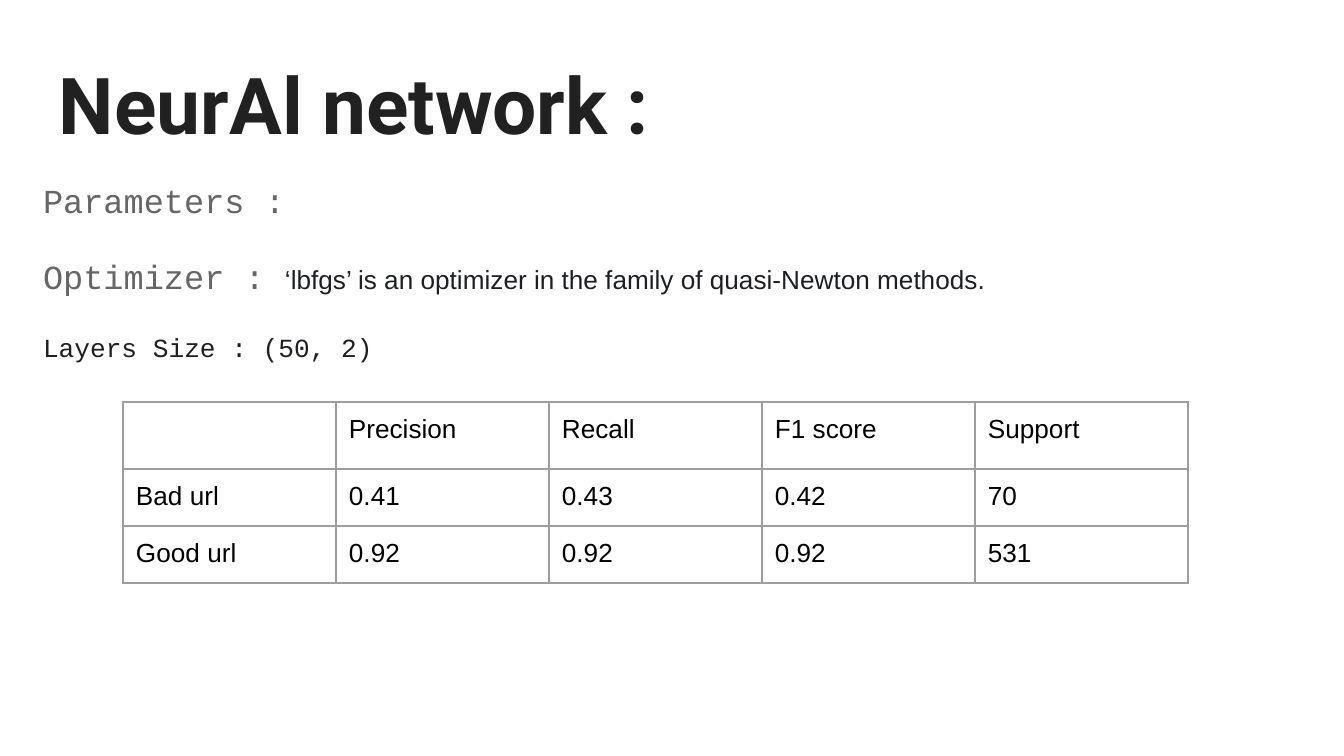
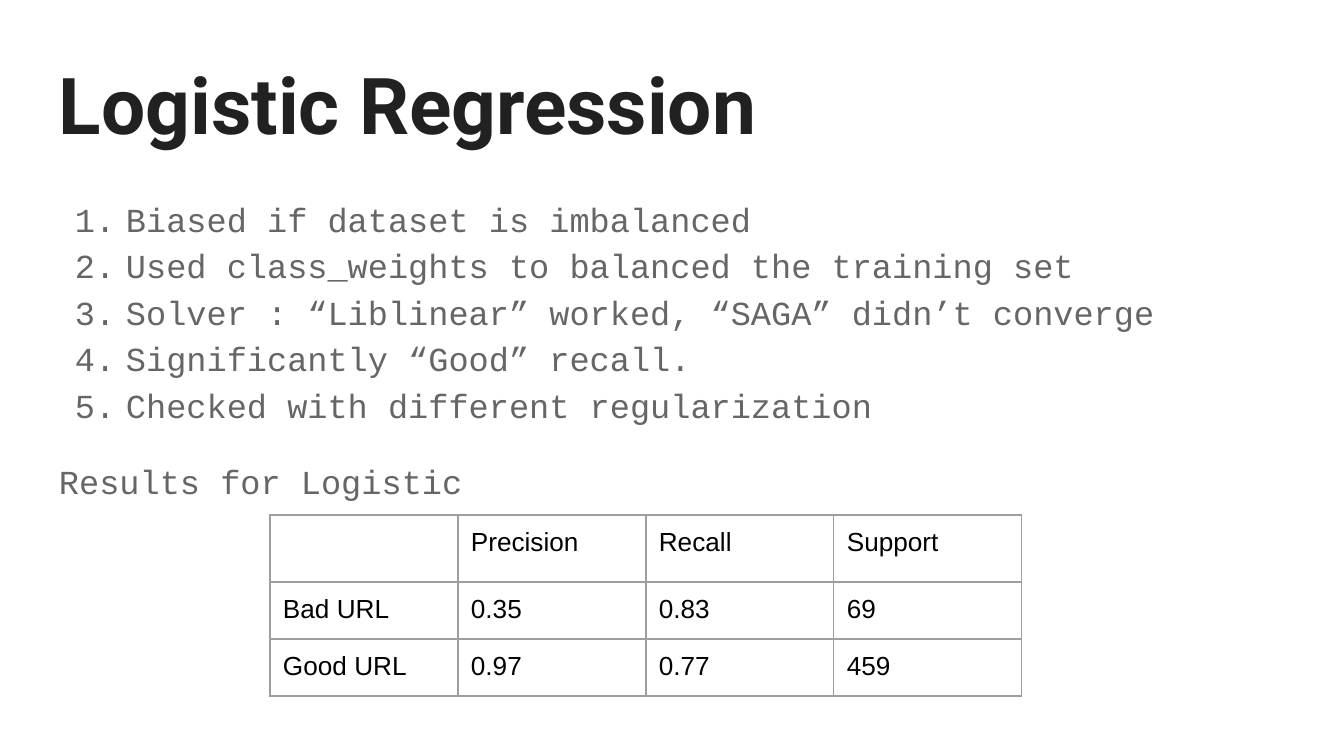
from lxml.etree import SubElement
from pptx import Presentation
from pptx.dml.color import RGBColor
from pptx.enum.text import MSO_ANCHOR as Anchor, MSO_AUTO_SIZE as AutoSize, PP_ALIGN as Align
from pptx.oxml.ns import qn
from pptx.util import Pt

PX = 914400 / 134.4
WIDTH, HEIGHT = 1344, 756
INSET = 13
TITLE_BOX = (46, 43, 1252, 118)
ROW_HEIGHTS = (64, 57, 57)
NUMBER_INDENT, NUMBER_HANG = 67, 51
INK, GREY, DARK, BLACK, RULE, WHITE = "212121", "666666", "1D1F22", "000000", "9E9E9E", "FFFFFF"

TITLE = dict(font="Roboto", size=42, color=INK, bold=True)
BODY = dict(font="Courier New", size=18, color=GREY)
DETAIL = dict(font="Arial", size=14, color=DARK)
CODE = dict(font="Courier New", size=14, color=DARK)
CELL = dict(font="Arial", size=14, color=BLACK)

SLIDES = [
    dict(
        title="NeurAl network :",
        body_box=(30, 161, 1252, 490),
        body=[
            dict(runs=[("Parameters :", BODY)]),
            dict(runs=[
                ("Optimizer : ", BODY),
                ("‘lbfgs’ is an optimizer in the family of quasi-Newton methods.", DETAIL),
            ], before=16),
            dict(runs=[("Layers Size : (50, 2)", CODE)], before=16),
        ],
        scores_at=(123, 402),
        column=213,
        scores=[
            ("", "Precision", "Recall", "F1 score", "Support"),
            ("Bad url", "0.41", "0.43", "0.42", "70"),
            ("Good url", "0.92", "0.92", "0.92", "531"),
        ],
    ),
    dict(
        title="Logistic Regression",
        body_box=(46, 180, 1252, 543),
        body=[
            *(dict(runs=[(finding, BODY)], numbered=True) for finding in (
                "Biased if dataset is imbalanced",
                "Used class_weights to balanced the training set",
                "Solver : “Liblinear” worked, “SAGA” didn’t converge",
                "Significantly “Good” recall.",
                "Checked with different regularization",
            )),
            dict(runs=[("Results for Logistic", BODY)], before=16, after=16),
        ],
        scores_at=(270, 515),
        column=188,
        scores=[
            ("", "Precision", "Recall", "Support"),
            ("Bad URL", "0.35", "0.83", "69"),
            ("Good URL", "0.97", "0.77", "459"),
        ],
    ),
]


def px(length):
    return round(length * PX)


def rgb(color):
    return RGBColor.from_string(color)


def write(paragraph, text, *, font, size, color, bold=False):
    run = paragraph.add_run()
    run.text = text
    run.font.name = font
    run.font.size = Pt(size)
    run.font.bold = bold
    run.font.color.rgb = rgb(color)


def set_insets(holder):
    holder.margin_left = holder.margin_right = px(INSET)
    holder.margin_top = holder.margin_bottom = px(INSET)


def prepare(frame):
    set_insets(frame)
    frame.word_wrap = True
    frame.auto_size = AutoSize.NONE
    frame.vertical_anchor = Anchor.TOP


def number(paragraph):
    props = paragraph._p.get_or_add_pPr()
    props.set("marL", str(px(NUMBER_INDENT)))
    props.set("indent", str(-px(NUMBER_HANG)))
    bullet_color = SubElement(props, qn("a:buClr"))
    SubElement(bullet_color, qn("a:srgbClr"), val=GREY)
    SubElement(props, qn("a:buFont"), typeface=BODY["font"])
    SubElement(props, qn("a:buAutoNum"), type="arabicPeriod")


def add_title(slide, text):
    title = slide.shapes.title
    title.left, title.top, title.width, title.height = map(px, TITLE_BOX)
    prepare(title.text_frame)
    paragraph = title.text_frame.paragraphs[0]
    paragraph.alignment = Align.LEFT
    write(paragraph, text, **TITLE)


def add_body(slide, box, lines):
    frame = slide.shapes.add_textbox(*map(px, box)).text_frame
    prepare(frame)
    for index, line in enumerate(lines):
        paragraph = frame.add_paragraph() if index else frame.paragraphs[0]
        paragraph.line_spacing = 1.15
        paragraph.space_before = Pt(line.get("before", 0))
        paragraph.space_after = Pt(line.get("after", 0))
        if line.get("numbered"):
            number(paragraph)
        for text, style in line["runs"]:
            write(paragraph, text, **style)


def outline(cell):
    props = cell._tc.get_or_add_tcPr()
    for side in ("lnL", "lnR", "lnT", "lnB"):
        line = SubElement(props, qn(f"a:{side}"), w=str(Pt(0.75)))
        fill = SubElement(line, qn("a:solidFill"))
        SubElement(fill, qn("a:srgbClr"), val=RULE)


def add_scores(slide, at, column, scores):
    columns = len(scores[0])
    size = (column * columns, sum(ROW_HEIGHTS))
    table = slide.shapes.add_table(len(scores), columns, *map(px, at + size)).table
    table.first_row = table.horz_banding = False
    for table_column in table.columns:
        table_column.width = px(column)
    for row, (values, height) in enumerate(zip(scores, ROW_HEIGHTS)):
        table.rows[row].height = px(height)
        for col, value in enumerate(values):
            cell = table.cell(row, col)
            set_insets(cell)
            outline(cell)
            cell.fill.background()
            if value:
                write(cell.text_frame.paragraphs[0], value, **CELL)


def main():
    deck = Presentation()
    deck.slide_width, deck.slide_height = px(WIDTH), px(HEIGHT)
    background = deck.slide_master.background.fill
    background.solid()
    background.fore_color.rgb = rgb(WHITE)
    for content in SLIDES:
        slide = deck.slides.add_slide(deck.slide_layouts[5])
        add_title(slide, content["title"])
        add_body(slide, content["body_box"], content["body"])
        add_scores(slide, content["scores_at"], content["column"], content["scores"])
    deck.save("out.pptx")


if __name__ == "__main__":
    main()
